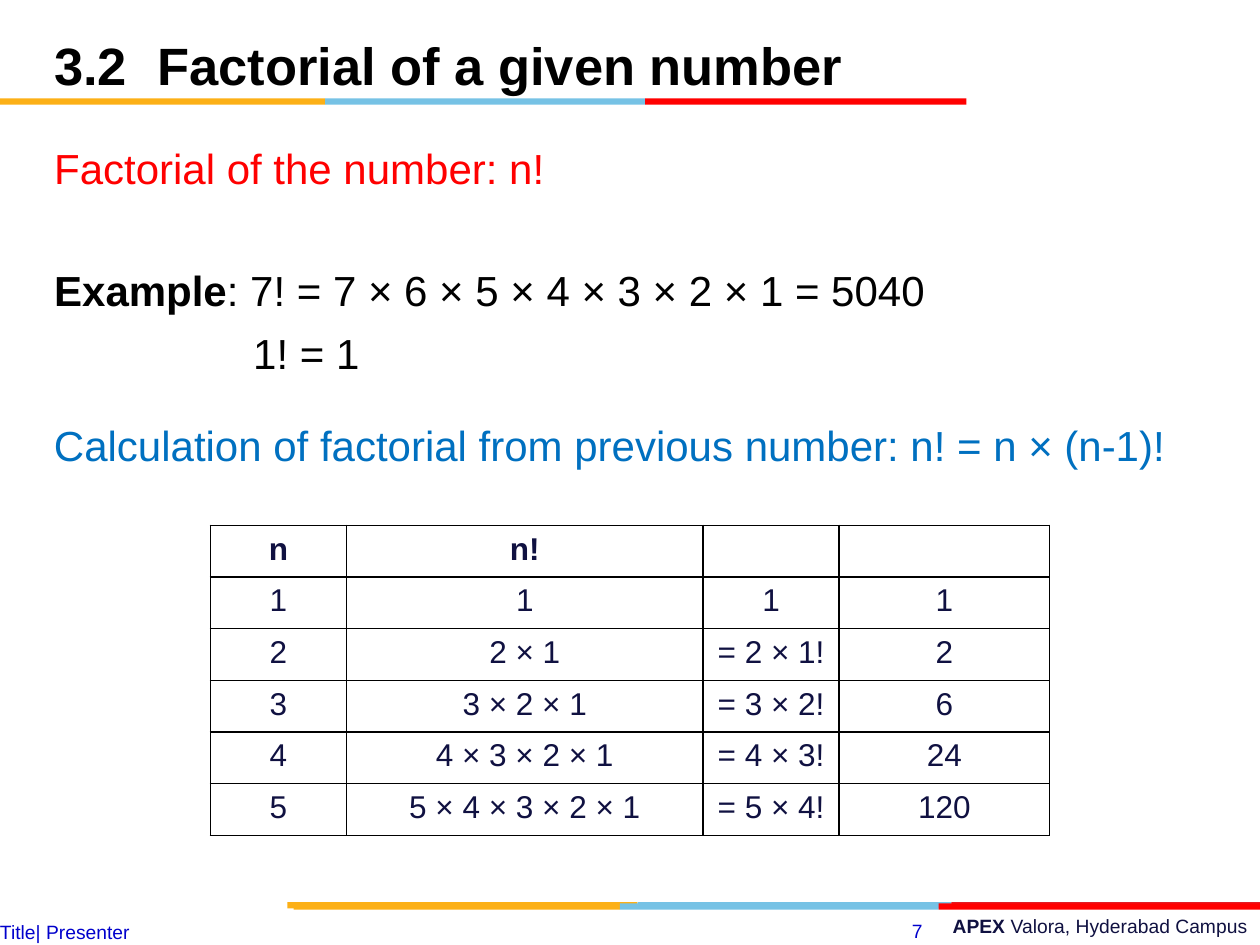
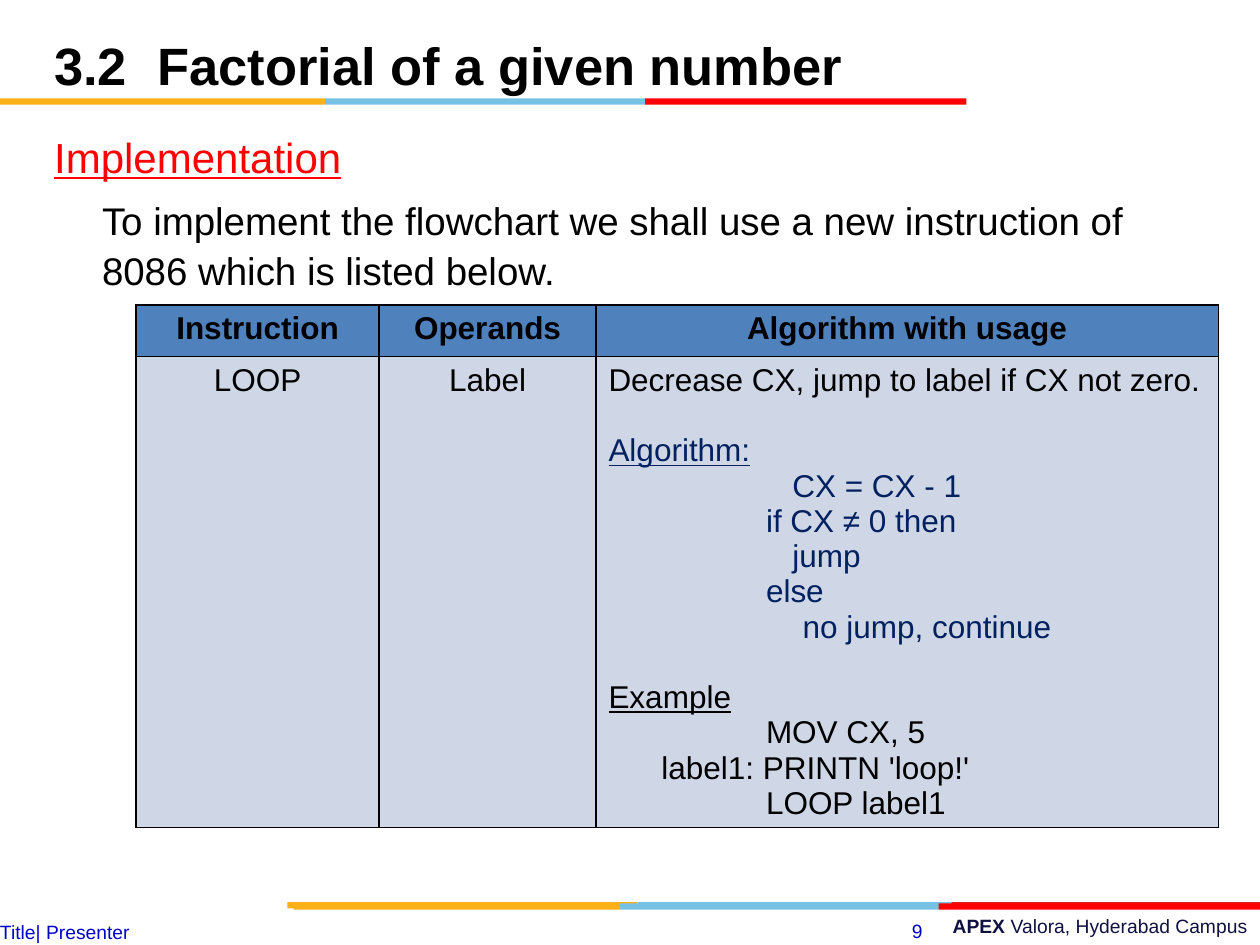
"""Build two lecture slides on computing the factorial of a number."""
from dataclasses import dataclass

from lxml.etree import SubElement
from pptx import Presentation
from pptx.dml.color import RGBColor
from pptx.enum.shapes import MSO_SHAPE as Preset
from pptx.enum.text import MSO_ANCHOR as Anchor, MSO_AUTO_SIZE as AutoSize, PP_ALIGN as Align
from pptx.oxml.ns import qn
from pptx.util import Inches, Pt


@dataclass(frozen=True)
class Theme:
    font: str = "Arial"
    black: str = "000000"
    white: str = "FFFFFF"
    red: str = "FF0000"
    crimson: str = "E31C24"
    amber: str = "FCB017"
    sky: str = "76C2E5"
    blue: str = "0070C0"
    navy: str = "002060"
    ink: str = "101141"
    footer_blue: str = "0000CC"
    header_fill: str = "4F81BD"
    cell_fill: str = "CFD7E7"
    title_size: float = 30
    body_size: float = 24
    detail_size: float = 22
    table_size: float = 18
    footer_size: float = 11
    title_spacing: float = 1.2
    body_spacing: float = 1.08
    paragraph_gap: float = 4.8
    section_gap: float = 38.5
    table_gap: float = 20.1
    border: float = 1


THEME = Theme()


@dataclass
class Line:
    text: str
    color: str = THEME.black
    size: float = THEME.body_size
    lead: str = ""
    bold: bool = False
    underline: bool = False
    indent: float = 0
    hanging: float = 0
    before: float = 0
    spacing: float = 1
    align: Align = Align.LEFT


class SlideBuilder:
    def __init__(self, deck, theme):
        self.deck = deck
        self.theme = theme
        self.page = None

    def start(self, number, title):
        self.page = self.deck.slides.add_slide(self.deck.slide_layouts[1])
        self.footer(number)
        self.bands()
        self.title(title)

    def place(self, shape, left, top, width, height):
        shape.left, shape.top = Inches(left), Inches(top)
        shape.width, shape.height = Inches(width), Inches(height)

    def set_lines(self, frame, lines):
        for index, line in enumerate(lines):
            para = frame.paragraphs[0] if index == 0 else frame.add_paragraph()
            para.text = line.lead or line.text
            if line.lead:
                para.add_run().text = line.text
            para.alignment = line.align
            para.line_spacing = line.spacing
            para.space_before = Pt(line.before)
            properties = para._p.get_or_add_pPr()
            properties.set("marL", str(Inches(line.indent)))
            properties.set("indent", str(-Inches(line.hanging)))
            SubElement(properties, qn("a:buNone"))
            for position, span in enumerate(para.runs):
                span.font.name = self.theme.font
                span.font.size = Pt(line.size)
                span.font.bold = line.bold or (bool(line.lead) and position == 0)
                span.font.underline = line.underline
                span.font.color.rgb = RGBColor.from_string(line.color)

    def fill_frame(self, shape, lines, anchor=Anchor.TOP):
        frame = shape.text_frame
        frame.word_wrap = True
        frame.auto_size = AutoSize.NONE
        frame.vertical_anchor = anchor
        self.set_lines(frame, lines)
        return frame

    def title(self, text):
        shape = self.page.shapes.title
        self.place(shape, 0.33, 0.17, 6.92, 0.58)
        line = Line(text, size=self.theme.title_size, bold=True, indent=0.82,
                    hanging=0.82, spacing=self.theme.title_spacing)
        self.fill_frame(shape, [line], Anchor.MIDDLE)

    def body(self, area, lines):
        shape = self.page.placeholders[1]
        self.place(shape, *area)
        self.fill_frame(shape, lines)

    def text(self, area, line):
        box = self.page.shapes.add_textbox(*map(Inches, area))
        return self.fill_frame(box, [line])

    def footer(self, number):
        theme = self.theme
        self.text((3.58, 7.21, 6.42, 0.29),
                  Line("Valora, Hyderabad Campus", theme.ink, theme.footer_size,
                       lead="APEX ", align=Align.RIGHT))
        self.text((6.67, 7.25, 0.75, 0.28),
                  Line(str(number), theme.footer_blue, theme.footer_size, align=Align.RIGHT))
        frame = self.text((0, 7.3, 7, 0.19),
                          Line("Title| Presenter", theme.footer_blue, theme.footer_size))
        frame.margin_left = frame.margin_right = frame.margin_top = frame.margin_bottom = 0

    def bands(self):
        theme = self.theme
        strips = (
            (7.16, (2.28, 5.06, 7.55, 10), theme.crimson),
            (7.17, (2.33, 4.92, 7.45, 10), theme.red),
            (0.78, (0, 2.58, 5.12, 7.67), theme.red),
        )
        for top, edges, last_color in strips:
            colors = (theme.amber, theme.sky, last_color)
            for left, right, color in zip(edges, edges[1:], colors):
                self.band(left, top, right - left, color)

    def band(self, left, top, width, color):
        shape = self.page.shapes.add_shape(
            Preset.RECTANGLE, Inches(left), Inches(top), Inches(width), Inches(0.05))
        shape.shadow.inherit = False
        shape.fill.solid()
        shape.fill.fore_color.rgb = RGBColor.from_string(color)
        shape.line.fill.background()

    def table(self, left, top, widths, heights, rows, fills):
        frame = self.page.shapes.add_table(
            len(heights), len(widths), Inches(left), Inches(top),
            Inches(sum(widths)), Inches(sum(heights)))
        table = frame.table
        for column, width in zip(table.columns, widths):
            column.width = Inches(width)
        for row, height, contents, fill in zip(table.rows, heights, rows, fills):
            row.height = Inches(height)
            for cell, lines in zip(row.cells, contents):
                self.set_lines(cell.text_frame, lines)
                self.outline(cell)
                cell.fill.solid()
                cell.fill.fore_color.rgb = RGBColor.from_string(fill)

    def outline(self, cell):
        properties = cell._tc.get_or_add_tcPr()
        for side in ("lnL", "lnR", "lnT", "lnB"):
            edge = SubElement(properties, qn(f"a:{side}"), w=str(Pt(self.theme.border)))
            paint = SubElement(edge, qn("a:solidFill"))
            SubElement(paint, qn("a:srgbClr"), val=self.theme.black)


def centred(texts, color, bold=False):
    return [[Line(text, color, THEME.table_size, bold=bold, align=Align.CENTER)]
            for text in texts]


def body_line(text, color=THEME.black, **style):
    return Line(text, color, spacing=THEME.body_spacing, **style)


def factorial_slide(builder):
    builder.start(7, "3.2\tFactorial of a given number")
    builder.body((0.33, 1.05, 7.58, 2.03), [
        body_line("Factorial of the number: n!", THEME.red),
        body_line(": 7! = 7 × 6 × 5 × 4 × 3 × 2 × 1 = 5040", lead="Example",
                  before=THEME.section_gap),
        body_line("1! = 1", indent=1.58, before=THEME.paragraph_gap),
    ])
    builder.text((0.33, 3.25, 9.33, 0.58), body_line(
        "Calculation of factorial from previous number: n! = n × (n-1)!", THEME.blue))
    rows = [centred(("n", "n!", "", ""), THEME.ink, bold=True),
            centred("1111", THEME.ink)]
    product = 1
    for number in range(2, 6):
        product *= number
        factors = " × ".join(str(factor) for factor in range(number, 0, -1))
        rows.append(centred((str(number), factors, f"= {number} × {number - 1}!",
                             str(product)), THEME.ink))
    builder.table(1.67, 4.17, (1.08, 2.83, 1.08, 1.67), [0.41] * len(rows), rows,
                  [THEME.white] * len(rows))


def implementation_slide(builder):
    builder.start(9, "3.2\tFactorial of a given number")
    builder.body((0.33, 0.96, 9.33, 1.45), [
        body_line("Implementation", THEME.red, underline=True),
        body_line("To implement the flowchart we shall use a new instruction of "
                  "8086 which is listed below.", size=THEME.detail_size, indent=0.38,
                  before=THEME.paragraph_gap + 2),
    ])
    algorithm = (("CX = CX - 1", 1.46), ("if CX ≠ 0 then", 1.25), ("jump", 1.46),
                 ("else", 1.25), ("no jump, continue", 1.54))
    example = (("MOV CX, 5", 1.25), ("label1: PRINTN 'loop!'", 0.42), ("LOOP label1", 1.25))
    usage = [Line("Decrease CX, jump to label if CX not zero.", size=THEME.table_size)]
    for heading, color, steps in (("Algorithm:", THEME.navy, algorithm),
                                  ("Example", THEME.black, example)):
        usage.append(Line(heading, color, THEME.table_size, underline=True,
                          before=THEME.table_gap))
        usage += [Line(step, color, THEME.table_size, indent=indent) for step, indent in steps]
    rows = [centred(("Instruction", "Operands", "Algorithm with usage"), THEME.black, bold=True),
            centred(("LOOP", "Label"), THEME.black) + [usage]]
    builder.table(1.08, 2.42, (1.93, 1.72, 4.94), (0.41, 3.73), rows,
                  (THEME.header_fill, THEME.cell_fill))


def main():
    deck = Presentation()
    deck.slide_width, deck.slide_height = Inches(10), Inches(7.5)
    builder = SlideBuilder(deck, THEME)
    factorial_slide(builder)
    implementation_slide(builder)
    deck.save("out.pptx")


if __name__ == "__main__":
    main()
